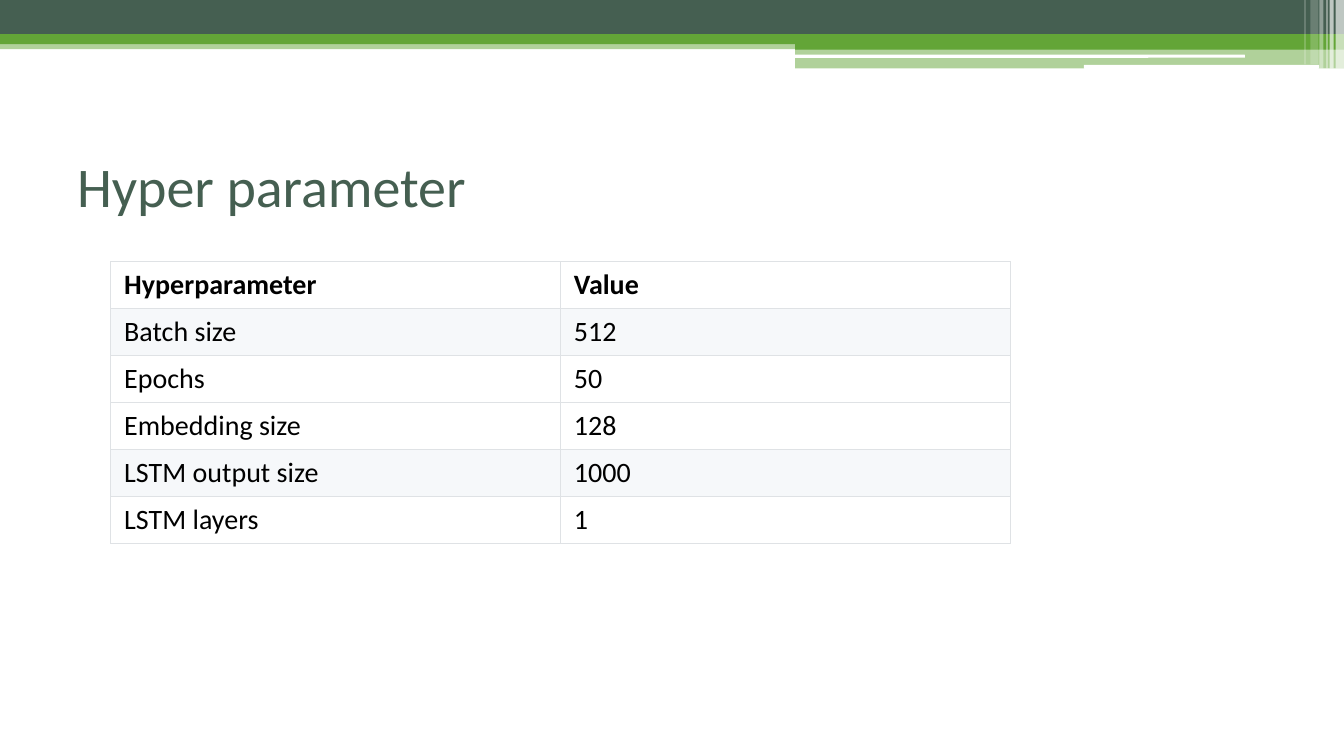
from typing import NamedTuple

from lxml.etree import SubElement
from pptx import Presentation
from pptx.dml.color import RGBColor
from pptx.enum.shapes import MSO_SHAPE as Shape
from pptx.enum.text import MSO_ANCHOR as Anchor
from pptx.oxml.ns import qn
from pptx.slide import Slide
from pptx.table import _Cell as Cell
from pptx.util import Pt

DARK = RGBColor(0x45, 0x5F, 0x51)
GREEN = RGBColor(0x63, 0xA5, 0x37)
WHITE = RGBColor(0xFF, 0xFF, 0xFF)
BLACK = RGBColor(0x00, 0x00, 0x00)
STRIPE = RGBColor(0xF6, 0xF8, 0xFA)
BORDER = RGBColor(0xDF, 0xE2, 0xE5)
FONT = "Calibri"

WIDTH, HEIGHT = 960, 540
COLUMN_WIDTH, ROW_HEIGHT = 321.3, 33.57
STRIPED_ROWS = (1, 4)


class Bar(NamedTuple):
    left: float
    top: float
    width: float
    height: float
    color: RGBColor
    opacity: int = 100
    shape: Shape = Shape.RECTANGLE


BARS = [
    Bar(0, 28.5, WIDTH, 6.6, GREEN, 50),
    Bar(0, 0, WIDTH, 24.4, DARK),
    Bar(0, 24.4, WIDTH, 7.2, GREEN),
    Bar(568, 28.3, 392, 7.2, GREEN),
    Bar(568, 34.7, 392, 14.2, GREEN, 50),
    Bar(567.5, 39.1, 321.7, 2.2, WHITE, shape=Shape.ROUNDED_RECTANGLE),
    Bar(774.2, 46.3, 168, 2.9, WHITE, shape=Shape.ROUNDED_RECTANGLE),
    Bar(954, 0, 6, 49, WHITE, 65),
    Bar(949.7, 0, 2.9, 49, WHITE, 65),
    Bar(947.5, 0, 0.9, 49, WHITE, 60),
    Bar(942.5, 0, 2.9, 49, WHITE, 40),
    Bar(936, 0, 5.8, 46.1, WHITE, 20),
    Bar(931.7, 0, 0.9, 46.1, WHITE, 30),
]

ROWS = [
    ("Hyperparameter", "Value"),
    ("Batch size", "512"),
    ("Epochs", "50"),
    ("Embedding size", "128"),
    ("LSTM output size", "1000"),
    ("LSTM layers", "1"),
]


def add_bar(s: Slide, bar: Bar) -> None:
    sp = s.shapes.add_shape(bar.shape, Pt(bar.left), Pt(bar.top), Pt(bar.width), Pt(bar.height))
    sp.shadow.inherit = False
    sp.line.fill.background()
    sp.fill.solid()
    sp.fill.fore_color.rgb = bar.color
    if bar.opacity < 100:
        color = sp.fill._xPr.find(qn("a:solidFill"))[0]
        SubElement(color, qn("a:alpha"), val=str(bar.opacity * 1000))


def add_title(s: Slide, text: str) -> None:
    tf = s.shapes.add_textbox(Pt(48), Pt(90), Pt(864), Pt(84)).text_frame
    tf.word_wrap = True
    tf.vertical_anchor = Anchor.MIDDLE
    p = tf.paragraphs[0]
    p.text = text
    p.font.name, p.font.size, p.font.color.rgb = FONT, Pt(40), DARK


def add_borders(cell: Cell) -> None:
    """Draw all four cell edges; they must precede the cell fill in the XML."""
    tc_pr = cell._tc.get_or_add_tcPr()
    for side in ("lnL", "lnR", "lnT", "lnB"):
        line = SubElement(tc_pr, qn(f"a:{side}"), w=str(Pt(0.75)))
        SubElement(SubElement(line, qn("a:solidFill")), qn("a:srgbClr"), val=str(BORDER))


def fill_cell(cell: Cell, text: str, fill: RGBColor, bold: bool) -> None:
    add_borders(cell)
    cell.fill.solid()
    cell.fill.fore_color.rgb = fill
    cell.margin_left = cell.margin_right = Pt(9.75)
    cell.margin_top = cell.margin_bottom = Pt(4.5)
    cell.vertical_anchor = Anchor.MIDDLE
    p = cell.text_frame.paragraphs[0]
    p.text = text
    p.font.name, p.font.size, p.font.bold = FONT, Pt(20), bold
    p.font.color.rgb = BLACK


def add_parameter_table(s: Slide) -> None:
    columns = len(ROWS[0])
    table = s.shapes.add_table(
        len(ROWS), columns, Pt(79), Pt(187),
        Pt(COLUMN_WIDTH * columns), Pt(ROW_HEIGHT * len(ROWS)),
    ).table
    for column in table.columns:
        column.width = Pt(COLUMN_WIDTH)
    for i, texts in enumerate(ROWS):
        table.rows[i].height = Pt(ROW_HEIGHT)
        fill = STRIPE if i in STRIPED_ROWS else WHITE
        for j, text in enumerate(texts):
            fill_cell(table.cell(i, j), text, fill, bold=i == 0)


def main() -> None:
    prs = Presentation()
    prs.slide_width, prs.slide_height = Pt(WIDTH), Pt(HEIGHT)
    s = prs.slides.add_slide(prs.slide_layouts[6])
    for bar in BARS:
        add_bar(s, bar)
    add_title(s, "Hyper parameter")
    add_parameter_table(s)
    prs.save("out.pptx")


if __name__ == "__main__":
    main()
